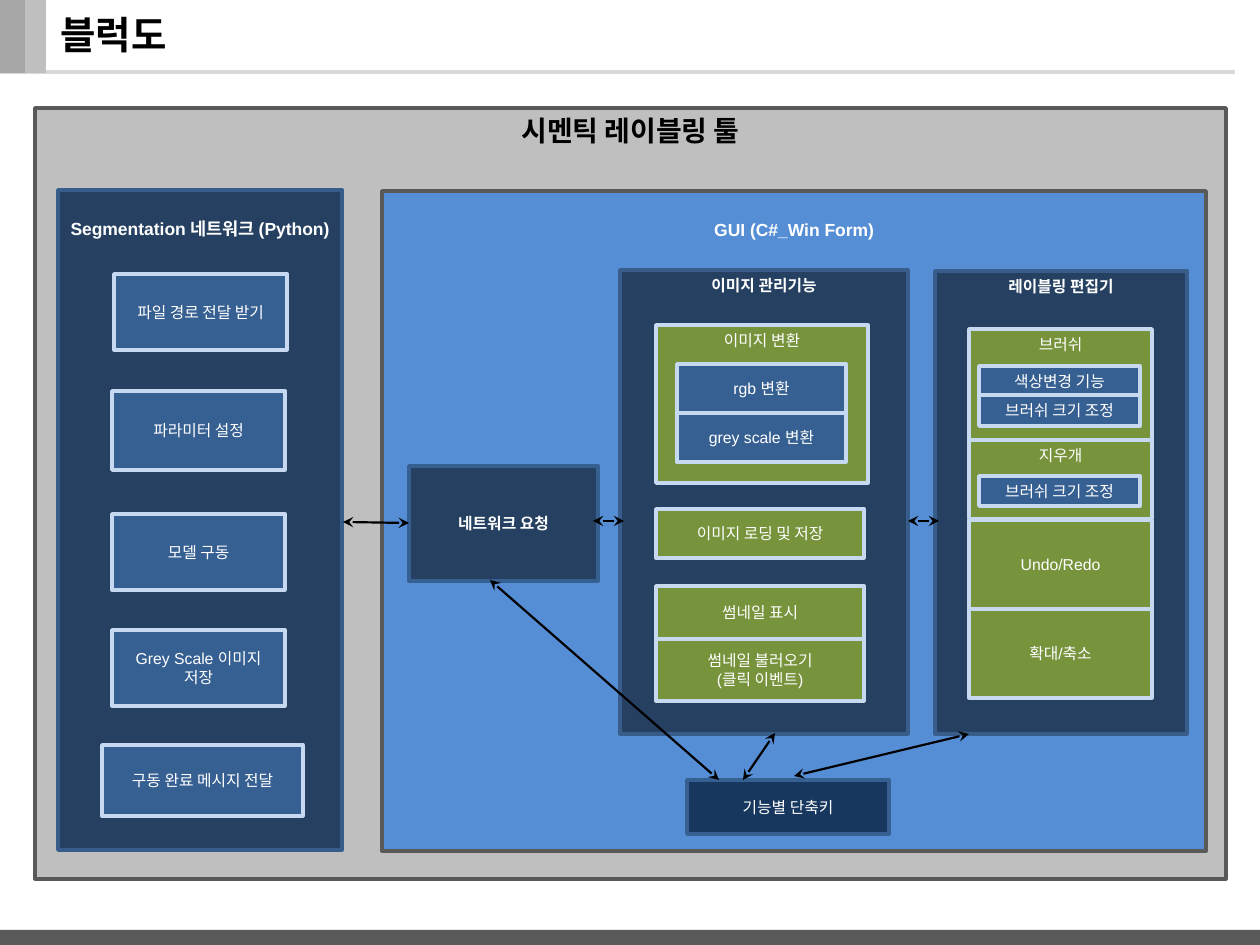
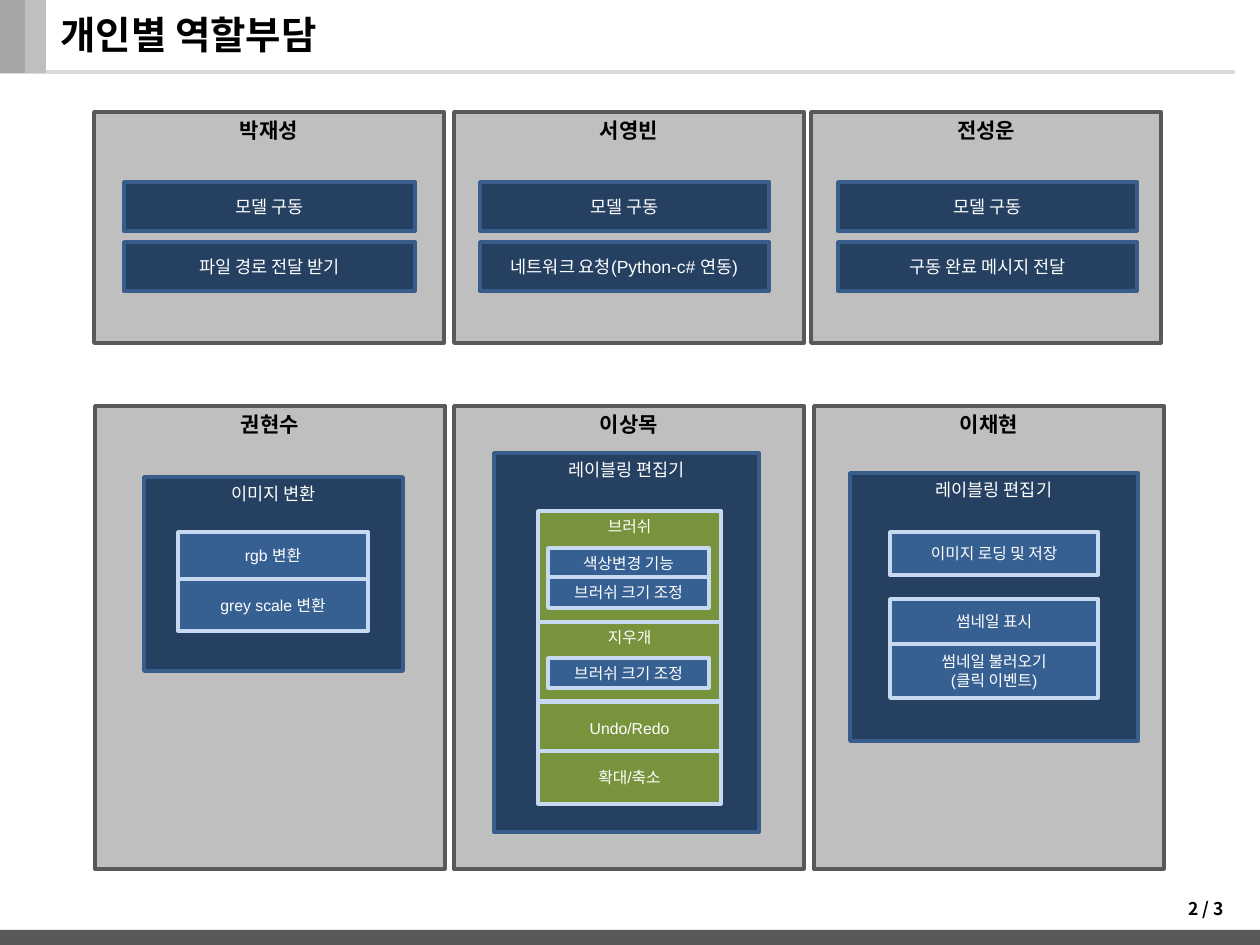
"""Build two slides: a block diagram and the role of each team member."""
from dataclasses import dataclass, replace
from typing import Optional

import lxml.etree
import pptx
import pptx.dml.color
import pptx.enum.shapes
import pptx.enum.text
import pptx.oxml.ns
import pptx.util

SCALE = 914400 / 126  # EMU in one pixel
FONT = "Arial"
BLACK, WHITE = "000000", "FFFFFF"
ANCHOR = pptx.enum.text.MSO_ANCHOR
ALIGN = pptx.enum.text.PP_ALIGN


@dataclass(frozen=True)
class Style:
    """Look of a box and its text; a top inset puts the text at the top."""
    fill: str
    line: Optional[str] = None
    size: float = 9
    bold: bool = False
    color: str = WHITE
    top: Optional[int] = None


@dataclass(frozen=True)
class Row:
    """One box in a column of boxes of equal width."""
    y: int
    h: int
    text: str


PANEL = Style("BFBFBF", "595959", 12, True, BLACK, top=6)
NAVY = Style("254061", "385D8A")
NAVY_HEAD = replace(NAVY, bold=True, top=6)
ROLE = replace(NAVY, size=10)
ROLE_HEAD = replace(ROLE, top=6)
REQUEST = Style("254061", "376092", bold=True)
HOTKEY = Style("17375E", "376092")
GUI = Style("558ED5", "595959", 10, True, top=28)
NETWORK = replace(NAVY, size=10, bold=True, top=28)
BLUE = Style("376092", "C6D9F1")
GREEN = Style("77933C", "C6D9F1")
GREEN_HEAD = replace(GREEN, top=6)


def px(n: float) -> int:
    """Turn pixels into EMU."""
    return round(n * SCALE)


def rgb(code: str) -> pptx.dml.color.RGBColor:
    """Turn a hex string into a colour."""
    return pptx.dml.color.RGBColor.from_string(code)


def format_text(tf, size: float, bold: bool, color: str, align, font: str = FONT) -> None:
    """Format every paragraph and run of a text frame."""
    for p in tf.paragraphs:
        p.alignment = align
        for r in p.runs:
            r.font.name = font
            r.font.size = pptx.util.Pt(size)
            r.font.bold = bold
            r.font.color.rgb = rgb(color)


def box(s, x: int, y: int, w: int, h: int, style: Style, text: str = "") -> None:
    """Draw a rectangle with centred text."""
    sp = s.shapes.add_shape(pptx.enum.shapes.MSO_SHAPE.RECTANGLE, px(x), px(y), px(w), px(h))
    sp.shadow.inherit = False
    sp.fill.solid()
    sp.fill.fore_color.rgb = rgb(style.fill)
    if style.line:
        sp.line.color.rgb = rgb(style.line)
        sp.line.width = pptx.util.Pt(2)
    else:
        sp.line.fill.background()
    if text:
        tf = sp.text_frame
        tf.word_wrap = True
        tf.text = text
        tf.vertical_anchor = ANCHOR.MIDDLE
        if style.top is not None:
            tf.vertical_anchor = ANCHOR.TOP
            tf.margin_top = px(style.top)
        format_text(tf, style.size, style.bold, style.color, ALIGN.CENTER)


def column(s, x: int, w: int, style: Style, rows: list[Row]) -> None:
    """Draw boxes of one width below each other."""
    for row in rows:
        box(s, x, row.y, w, row.h, style, row.text)


def label(s, x: int, y: int, w: int, h: int, text: str, size: float,
          anchor, font: str = FONT) -> None:
    """Draw a bold black text box."""
    tf = s.shapes.add_textbox(px(x), px(y), px(w), px(h)).text_frame
    tf.word_wrap = True
    tf.vertical_anchor = anchor
    tf.text = text
    format_text(tf, size, True, BLACK, ALIGN.LEFT, font)


def line(s, x1: int, y1: int, x2: int, y2: int, color: str = BLACK,
         width: float = 1.25, arrows: bool = True) -> None:
    """Draw a straight line, with an arrowhead at each end if asked."""
    c = s.shapes.add_connector(pptx.enum.shapes.MSO_CONNECTOR.STRAIGHT,
                               px(x1), px(y1), px(x2), px(y2))
    c.line.color.rgb = rgb(color)
    c.line.width = pptx.util.Pt(width)
    qn = pptx.oxml.ns.qn
    if arrows:
        ln = c.line._get_or_add_ln()
        for end in ("a:headEnd", "a:tailEnd"):
            lxml.etree.SubElement(ln, qn(end), type="stealth")
    lxml.etree.SubElement(c._element.spPr, qn("a:effectLst"))


def new_slide(prs, title: str):
    """Add a slide with the shared bands and the title."""
    s = prs.slides.add_slide(prs.slide_layouts[6])
    line(s, 1235, 72, 0, 72, "D9D9D9", 2.25, arrows=False)
    box(s, 24, 0, 22, 73, Style("BFBFBF"))
    box(s, 0, 0, 25, 73, Style("A6A6A6"))
    box(s, 0, 930, 1260, 15, Style("595959"))
    label(s, 48, 0, 1016, 69, title, 22, ANCHOR.MIDDLE)
    return s


def editor_tools(s, x: int, y: int, step: int, h: int) -> None:
    """Draw the brush, eraser, undo and zoom stack; step and h fit the last two."""
    column(s, x, 183, GREEN_HEAD, [Row(y + 111, 79, "지우개")])
    column(s, x, 183, GREEN, [Row(y + 191, h, "Undo/Redo"),
                              Row(y + 191 + step, h, "확대/축소")])
    column(s, x, 183, GREEN_HEAD, [Row(y, 111, "브러쉬")])
    column(s, x + 10, 161, BLUE, [Row(y + 37, 31, "색상변경 기능"),
                                  Row(y + 66, 31, "브러쉬 크기 조정"),
                                  Row(y + 147, 30, "브러쉬 크기 조정")])


def conversions(s, x: int, y: int, w: int, heights: tuple[int, int]) -> None:
    """Draw the two image conversions."""
    column(s, x, w, BLUE, [Row(y, heights[0], "rgb 변환"),
                           Row(y + heights[0], heights[1], "grey scale 변환")])


def image_files(s, x: int, style: Style, load: tuple[int, int],
                show: tuple[int, int], fetch: tuple[int, int]) -> None:
    """Draw image loading and the two thumbnail boxes, each given as top and height."""
    column(s, x, 208, style, [Row(*load, "이미지 로딩 및 저장"),
                              Row(*fetch, "썸네일 불러오기\n(클릭 이벤트)"),
                              Row(*show, "썸네일 표시")])


def block_diagram(prs) -> None:
    """Build the block diagram slide."""
    s = new_slide(prs, "블럭도")
    box(s, 35, 108, 1191, 771, replace(PANEL, size=16), "시멘틱 레이블링 툴")
    box(s, 382, 191, 824, 660, GUI, "GUI (C#_Win Form)")
    box(s, 687, 780, 202, 54, HOTKEY, "기능별 단축키")
    box(s, 935, 271, 252, 463, NAVY_HEAD, "레이블링 편집기")
    box(s, 620, 270, 288, 464, NAVY_HEAD, "이미지 관리기능")
    box(s, 656, 325, 212, 158, GREEN_HEAD, "이미지 변환")
    conversions(s, 677, 364, 169, (49, 49))
    image_files(s, 656, GREEN, load=(509, 49), show=(586, 53), fetch=(639, 62))
    box(s, 409, 466, 189, 115, REQUEST, "네트워크 요청")
    editor_tools(s, 969, 329, step=89, h=89)

    box(s, 58, 190, 284, 660, NETWORK, "Segmentation 네트워크 (Python)")
    column(s, 112, 173, BLUE, [Row(391, 79, "파라미터 설정"),
                               Row(514, 76, "모델 구동"),
                               Row(630, 76, "Grey Scale 이미지 저장")])
    box(s, 114, 274, 173, 76, BLUE, "파일 경로 전달 받기")
    box(s, 102, 745, 201, 71, BLUE, "구동 완료 메시지 전달")

    for ends in [(775, 733, 743, 780), (969, 734, 794, 776), (939, 521, 908, 521),
                 (343, 522, 409, 523), (624, 521, 593, 521), (490, 580, 719, 780)]:
        line(s, *ends)


def roles(prs) -> None:
    """Build the slide with one panel for each member."""
    s = new_slide(prs, "개인별 역할부담")
    label(s, 1176, 892, 66, 47, "2 / 3", 10, ANCHOR.TOP, "Noto Sans CJK KR")

    network_roles = [(94, "박재성", 124, 291, "파일 경로 전달 받기"),
                     (454, "서영빈", 480, 289, "네트워크 요청(Python-c# 연동)"),
                     (811, "전성운", 838, 299, "구동 완료 메시지 전달")]
    for x, member, task_x, task_w, task in network_roles:
        box(s, x, 112, 350, 231, PANEL, member)
        column(s, task_x, task_w, ROLE, [Row(182, 49, "모델 구동"), Row(242, 49, task)])

    for x, member in [(95, "권현수"), (454, "이상목"), (814, "이채현")]:
        box(s, x, 406, 350, 463, PANEL, member)
    box(s, 144, 477, 259, 194, ROLE_HEAD, "이미지 변환")
    conversions(s, 178, 532, 190, (47, 52))
    box(s, 494, 453, 265, 379, ROLE_HEAD, "레이블링 편집기")
    editor_tools(s, 538, 511, step=49, h=53)
    box(s, 850, 473, 288, 268, ROLE_HEAD, "레이블링 편집기")
    image_files(s, 890, BLUE, load=(532, 43), show=(599, 45), fetch=(644, 54))


def main() -> None:
    """Build and save the presentation."""
    prs = pptx.Presentation()
    prs.slide_width, prs.slide_height = px(1260), px(945)
    block_diagram(prs)
    roles(prs)
    prs.save("out.pptx")


main()
